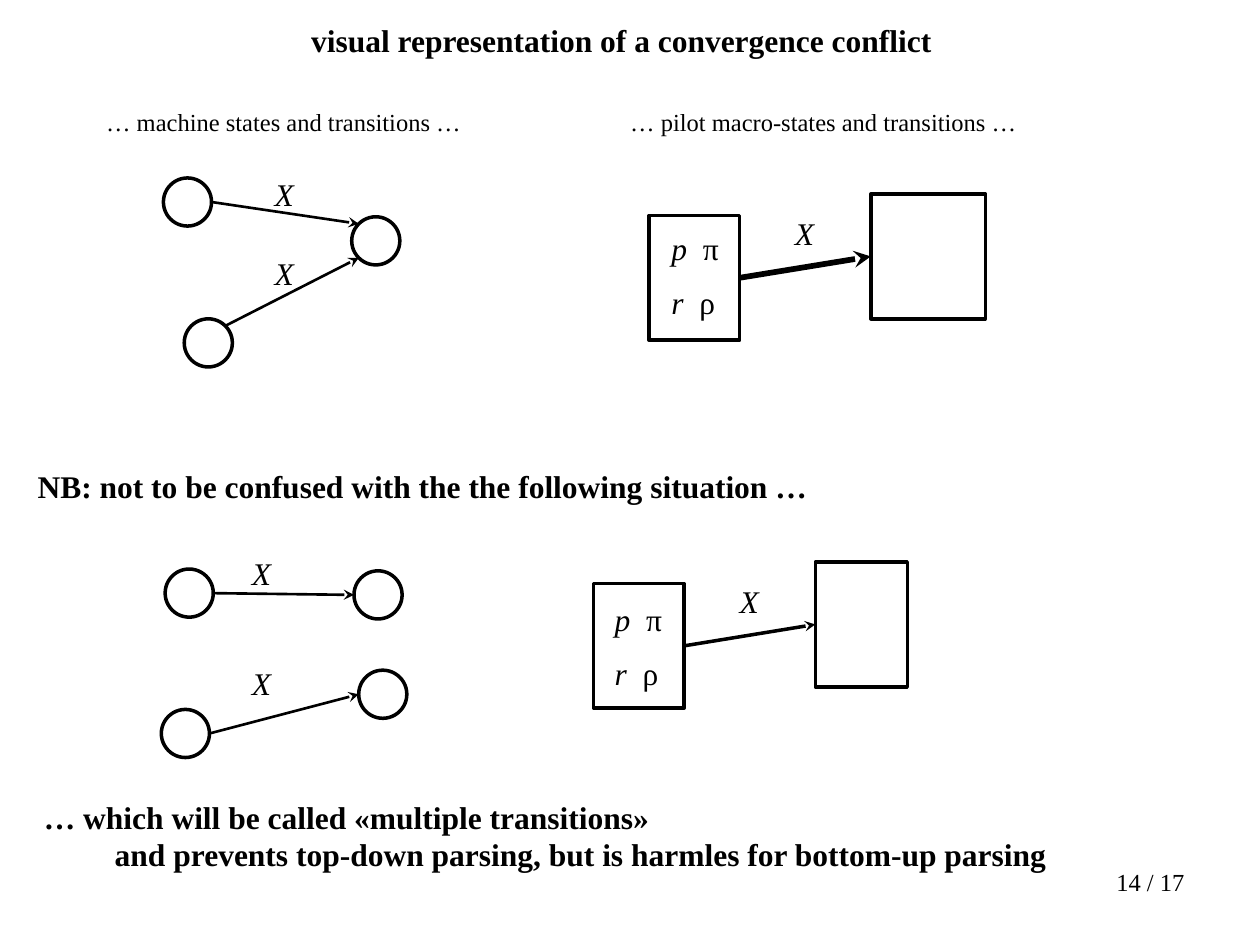
from math import sqrt

from lxml import etree
from pptx import Presentation
from pptx.dml.color import RGBColor
from pptx.enum.shapes import MSO_CONNECTOR, MSO_SHAPE
from pptx.enum.text import MSO_ANCHOR, PP_ALIGN
from pptx.oxml.ns import qn
from pptx.util import Pt

BLACK = RGBColor(0, 0, 0)
FONT = "Times New Roman"
OVAL, RECTANGLE = MSO_SHAPE.OVAL, MSO_SHAPE.RECTANGLE
STRAIGHT = MSO_CONNECTOR.STRAIGHT
TOP = MSO_ANCHOR.TOP
LEFT, RIGHT = PP_ALIGN.LEFT, PP_ALIGN.RIGHT
LEFT_SIDE, RIGHT_SIDE = 1, 3
DIAMETER = 27.5
BOX_HEIGHT = 71.3
DIAGONAL = 1 / sqrt(2)
# Unit directions from a circle's centre to its rim
EAST, WEST = (1, 0), (-1, 0)
NORTH_EAST, NORTH_WEST = (DIAGONAL, -DIAGONAL), (-DIAGONAL, -DIAGONAL)
SOUTH_WEST = (-DIAGONAL, DIAGONAL)


class Board:
    """Holds the style and the current slide; all lengths are in points."""

    def __init__(self, deck):
        self.slide = deck.slides.add_slide(deck.slide_layouts[5])

    def add_span(self, para, text, size, bold=False, italic=False):
        span = para.add_run()
        span.text = text
        span.font.name = FONT
        span.font.size = Pt(size)
        span.font.bold = bold
        span.font.italic = italic
        span.font.color.rgb = BLACK

    def title(self, text, left, top, width, height):
        box = self.slide.shapes.title
        box.left, box.top, box.width, box.height = map(Pt, (left, top, width, height))
        frame = box.text_frame
        frame.word_wrap = False
        frame.vertical_anchor = TOP
        para = frame.paragraphs[0]
        para.alignment = LEFT
        self.add_span(para, text, 18, bold=True)

    def text_box(self, left, top, width, height, wrap=False):
        box = self.slide.shapes.add_textbox(Pt(left), Pt(top), Pt(width), Pt(height))
        box.text_frame.word_wrap = wrap
        return box.text_frame

    def label(self, text, left, top, width, size=18, bold=False, italic=False):
        frame = self.text_box(left, top, width, size * 1.6)
        self.add_span(frame.paragraphs[0], text, size, bold, italic)

    def conclusion(self, lines, left, top, width, height):
        """Add bold lines, each given with its left indent."""
        frame = self.text_box(left, top, width, height)
        for number, (text, indent) in enumerate(lines):
            para = frame.add_paragraph() if number else frame.paragraphs[0]
            para._p.get_or_add_pPr().set("marL", str(Pt(indent)))
            self.add_span(para, text, 18, bold=True)

    def page_number(self, text, left, top, width, height):
        para = self.text_box(left, top, width, height, wrap=True).paragraphs[0]
        para.alignment = RIGHT
        self.add_span(para, text, 14)

    def state_row(self, state, symbol, tab, left, top):
        """Add an italic state and, at the tab stop, its upright symbol."""
        para = self.text_box(left, top, 50, 29, wrap=True).paragraphs[0]
        tabs = etree.SubElement(para._p.get_or_add_pPr(), qn("a:tabLst"))
        etree.SubElement(tabs, qn("a:tab"), pos=str(Pt(tab)), algn="l")
        self.add_span(para, state + "\t", 18, italic=True)
        self.add_span(para, symbol, 18)

    def outline(self, kind, left, top, width, height):
        shape = self.slide.shapes.add_shape(
            kind, Pt(left), Pt(top), Pt(width), Pt(height))
        shape.shadow.inherit = False
        shape.fill.background()
        shape.line.color.rgb = BLACK
        shape.line.width = Pt(2)
        return shape

    def circle(self, left, top):
        return self.outline(OVAL, left, top, DIAMETER, DIAMETER)

    def macro_state(self, left, top, width):
        return self.outline(RECTANGLE, left, top, width, BOX_HEIGHT)

    def arrow(self, start, end, weight):
        """Draw an arrow between two points given in EMU."""
        connector = self.slide.shapes.add_connector(STRAIGHT, *start, *end)
        connector.line.color.rgb = BLACK
        connector.line.width = Pt(weight)
        etree.SubElement(connector.line._get_or_add_ln(), qn("a:tailEnd"),
                         type="stealth", w="med", len="med")
        etree.SubElement(connector._element.spPr, qn("a:effectLst"))
        return connector

    def circle_arrow(self, source, source_side, target, target_side):
        self.arrow(rim_point(source, source_side), rim_point(target, target_side), 1.5)

    def macro_transition(self, left, top, target_width, weight, text_left, text_top):
        """Draw a filled macro-state, its transition X and the empty target."""
        source = self.macro_state(left, top, 51.8)
        target = self.macro_state(left + 126.7, top - 12.2, target_width)
        connector = self.arrow((0, 0), (0, 0), weight)
        connector.begin_connect(source, RIGHT_SIDE)
        connector.end_connect(target, LEFT_SIDE)
        self.label("X", left + 76.3, top - 4.3, 26, italic=True)
        self.state_row("p", "π", 18, text_left, text_top)
        self.state_row("r", "ρ", 16, text_left, text_top + 31)


def rim_point(circle, direction):
    radius = circle.width / 2
    return (int(circle.left + radius * (1 + direction[0])),
            int(circle.top + radius * (1 + direction[1])))


def main():
    deck = Presentation()
    deck.slide_width, deck.slide_height = Pt(720), Pt(540)
    board = Board(deck)
    board.title("visual representation of a convergence conflict", 170.6, 8.6, 375, 29)
    board.label("… machine states and transitions …", 53.5, 57.6, 219.6, size=14)
    board.label("… pilot macro-states and transitions …", 353, 57.6, 237.6, size=14)

    # Convergence: two transitions reach the same state
    upper, lower = board.circle(93.4, 101.7), board.circle(105.3, 182.2)
    shared = board.circle(201, 123.9)
    board.circle_arrow(upper, EAST, shared, NORTH_WEST)
    board.circle_arrow(lower, NORTH_EAST, shared, SOUTH_WEST)
    board.macro_transition(370.9, 123.1, 65.5, 3.25, 376.6, 127.4)

    board.label("NB: not to be confused with the the following situation …",
                14.4, 263.5, 458.6, bold=True)

    # Multiple transitions: each one reaches its own state
    for source, target in (((94.4, 325.2), (202.3, 326.2)),
                           ((92.2, 405.4), (205, 383))):
        board.circle_arrow(board.circle(*source), EAST, board.circle(*target), WEST)
    board.macro_transition(339.2, 333.4, 52.6, 2, 344.2, 339.1)

    for left, top in ((149.8, 96.5), (149.8, 141.8), (136.8, 313.2), (136.8, 375.8)):
        board.label("X", left, top, 26, italic=True)

    board.conclusion([("… which will be called «multiple transitions»", 0),
                      ("and prevents top-down parsing, but is harmles for bottom-up parsing",
                       40.5)],
                     18, 452.2, 588.2, 51)
    board.page_number("14 / 17", 516.2, 491.8, 167.8, 37.4)
    deck.save("out.pptx")


if __name__ == "__main__":
    main()
